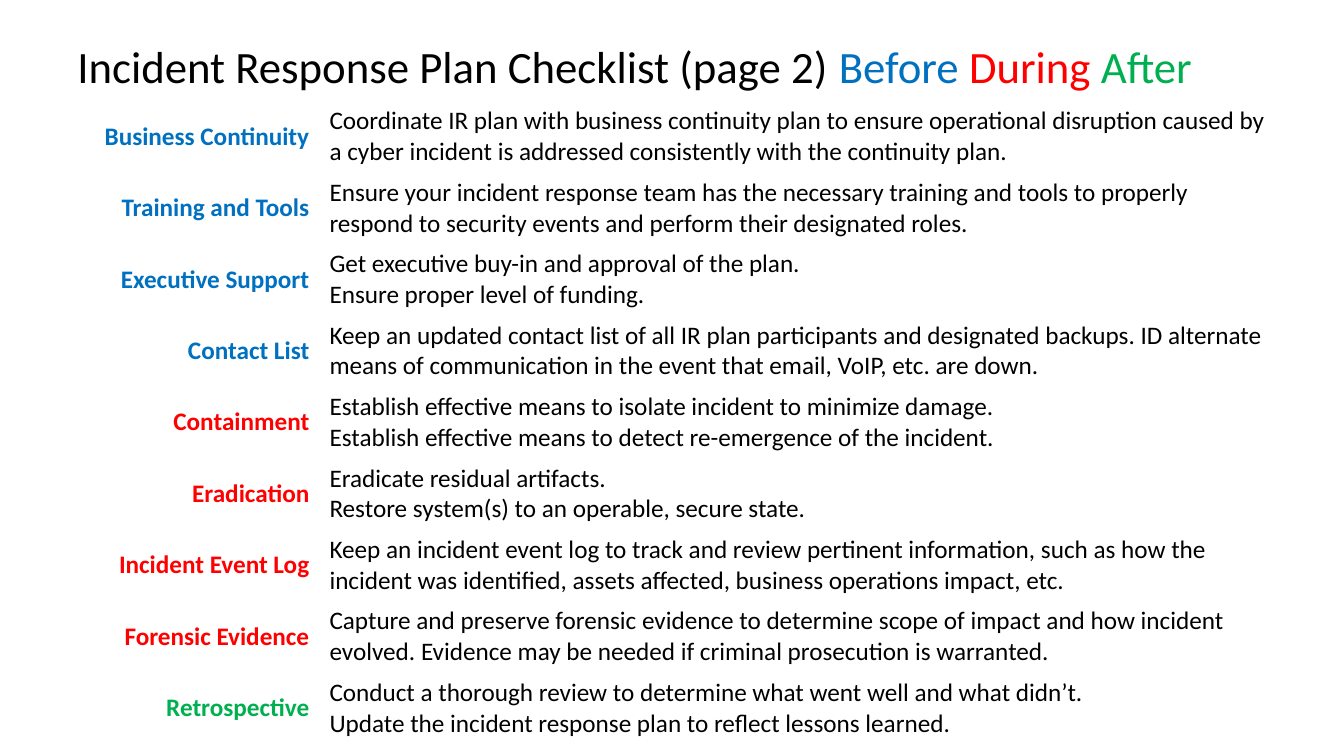
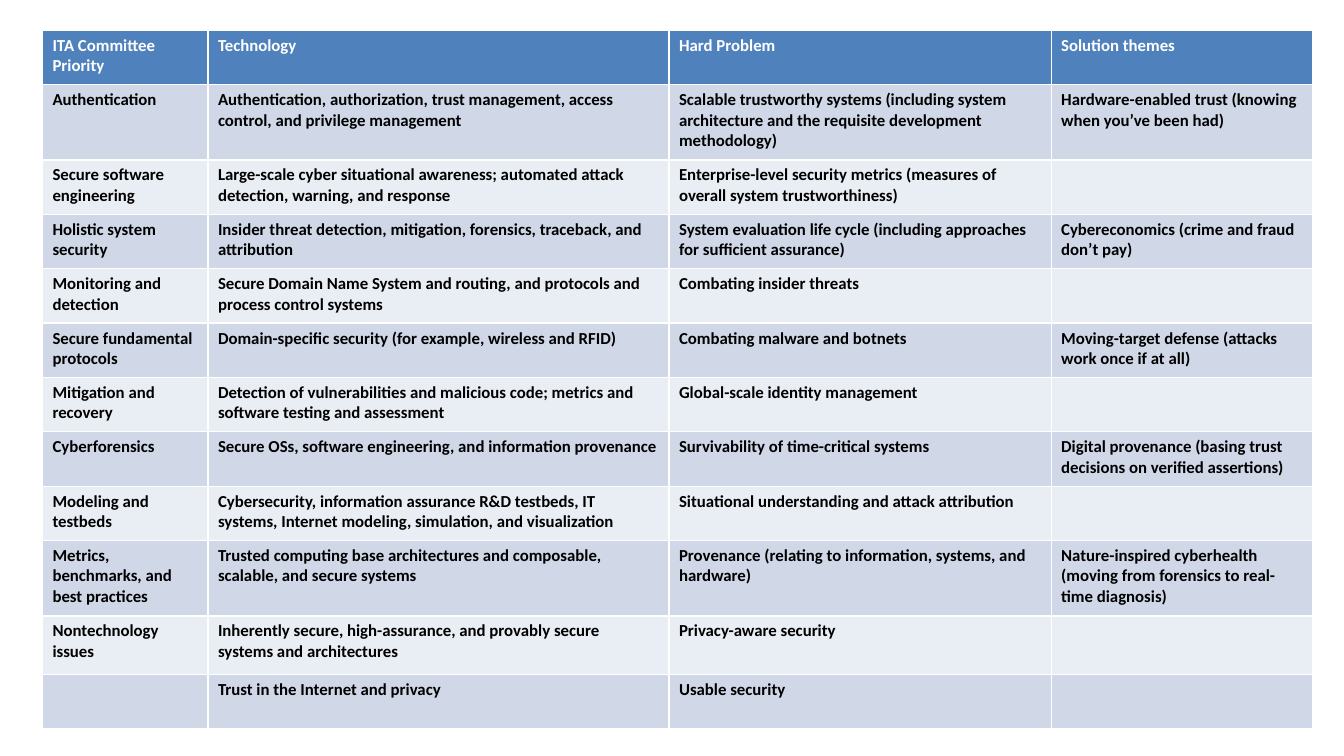
from pptx import Presentation
from pptx.dml.color import RGBColor
from pptx.enum import text
from pptx.util import Cm, Pt

FONT = "Calibri"
BLACK, WHITE = "000000", "FFFFFF"
BEFORE, DURING, AFTER = "0070C0", "FF0000", "00B050"
HEADER_FILL = "4F81BD"
BAND_FILLS = ("D0D8E8", "E9EDF4")

TITLE = [
    ("Incident Response Plan Checklist (page 2) ", BLACK),
    ("Before ", BEFORE),
    ("During ", DURING),
    ("After", AFTER),
]

CHECKLIST = [
    ("Business Continuity", BEFORE,
     "Coordinate IR plan with business continuity plan to ensure operational disruption caused by "
     "a cyber incident is addressed consistently with the continuity plan."),
    ("Training and Tools", BEFORE,
     "Ensure your incident response team has the necessary training and tools to properly "
     "respond to security events and perform their designated roles."),
    ("Executive Support", BEFORE,
     "Get executive buy-in and approval of the plan.\n"
     "Ensure proper level of funding."),
    ("Contact List", BEFORE,
     "Keep an updated contact list of all IR plan participants and designated backups. ID alternate "
     "means of communication in the event that email, VoIP, etc. are down."),
    ("Containment", DURING,
     "Establish effective means to isolate incident to minimize damage.\n"
     "Establish effective means to detect re-emergence of the incident."),
    ("Eradication", DURING,
     "Eradicate residual artifacts.\n"
     "Restore system(s) to an operable, secure state."),
    ("Incident Event Log", DURING,
     "Keep an incident event log to track and review pertinent information, such as how the "
     "incident was identified, assets affected, business operations impact, etc."),
    ("Forensic Evidence", DURING,
     "Capture and preserve forensic evidence to determine scope of impact and how incident "
     "evolved. Evidence may be needed if criminal prosecution is warranted."),
    ("Retrospective", AFTER,
     "Conduct a thorough review to determine what went well and what didn’t.\n"
     "Update the incident response plan to reflect lessons learned."),
]

PRIORITIES = [
    ("ITA Committee Priority", "Technology", "Hard Problem", "Solution themes"),
    ("Authentication",
     "Authentication, authorization, trust management, access control, and privilege management",
     "Scalable trustworthy systems (including system architecture and the requisite development methodology)",
     "Hardware-enabled trust (knowing when you’ve been had)"),
    ("Secure software engineering",
     "Large-scale cyber situational awareness; automated attack detection, warning, and response",
     "Enterprise-level security metrics (measures of overall system trustworthiness)", ""),
    ("Holistic system security",
     "Insider threat detection, mitigation, forensics, traceback, and attribution",
     "System evaluation life cycle (including approaches for sufficient assurance)",
     "Cybereconomics (crime and fraud don’t pay)"),
    ("Monitoring and detection",
     "Secure Domain Name System and routing, and protocols and process control systems",
     "Combating insider threats", ""),
    ("Secure fundamental protocols",
     "Domain-specific security (for example, wireless and RFID)",
     "Combating malware and botnets",
     "Moving-target defense (attacks work once if at all)"),
    ("Mitigation and recovery",
     "Detection of vulnerabilities and malicious code; metrics and software testing and assessment",
     "Global-scale identity management", ""),
    ("Cyberforensics",
     "Secure OSs, software engineering, and information provenance",
     "Survivability of time-critical systems",
     "Digital provenance (basing trust decisions on verified assertions)"),
    ("Modeling and testbeds",
     "Cybersecurity, information assurance R&D testbeds, IT systems, Internet modeling, "
     "simulation, and visualization",
     "Situational understanding and attack attribution", ""),
    ("Metrics, benchmarks, and best practices",
     "Trusted computing base architectures and composable, scalable, and secure systems",
     "Provenance (relating to information, systems, and hardware)",
     "Nature-inspired cyberhealth (moving from forensics to real-time diagnosis)"),
    ("Nontechnology issues",
     "Inherently secure, high-assurance, and provably secure systems and architectures",
     "Privacy-aware security", ""),
    ("", "Trust in the Internet and privacy", "Usable security", ""),
]


def color(value):
    return RGBColor.from_string(value)


def style_font(font, size, bold=False, ink=None):
    font.name, font.size, font.bold = FONT, Pt(size), bold
    if ink:
        font.color.rgb = color(ink)


def add_page(deck):
    return deck.slides.add_slide(deck.slide_layouts[6])


def add_title(page, spans):
    box = page.shapes.add_textbox(Cm(1.7), Cm(0.76), Cm(30.48), Cm(1.78))
    frame = box.text_frame
    frame.word_wrap = True
    frame.vertical_anchor = text.MSO_ANCHOR.MIDDLE
    para = frame.paragraphs[0]
    style_font(para.font, 32)
    for words, ink in spans:
        span = para.add_run()
        span.text = words
        span.font.color.rgb = color(ink)


def add_grid(page, left, top, widths, heights):
    frame = page.shapes.add_table(len(heights), len(widths), Cm(left), Cm(top),
                                  Cm(sum(widths)), Cm(sum(heights)))
    table = frame.table
    for column, width in zip(table.columns, widths):
        column.width = Cm(width)
    for row, height in zip(table.rows, heights):
        row.height = Cm(height)
    return table


def fill_cell(cell, words, size, ink, fill, bold=False, align=text.PP_ALIGN.LEFT,
              anchor=text.MSO_ANCHOR.TOP):
    cell.text = words
    cell.vertical_anchor = anchor
    cell.fill.solid()
    cell.fill.fore_color.rgb = color(fill)
    for para in cell.text_frame.paragraphs:
        para.alignment = align
        style_font(para.font, size, bold, ink)


def add_checklist(page):
    table = add_grid(page, 1.7, 2.54, [6.35, 24.13], [1.8] * len(CHECKLIST))
    table.first_row = table.horz_banding = False
    for row, (label, phase, advice) in enumerate(CHECKLIST):
        fill_cell(table.cell(row, 0), label, 18, phase, WHITE, True,
                  text.PP_ALIGN.RIGHT, text.MSO_ANCHOR.MIDDLE)
        fill_cell(table.cell(row, 1), advice, 18, BLACK, WHITE)


def add_priorities(page):
    heights = [1.37, 1.9] + [1.37] * 7 + [1.9, 1.48, 1.35]
    table = add_grid(page, 1.07, 0.76, [4.17, 11.62, 9.63, 6.58], heights)
    for row, entries in enumerate(PRIORITIES):
        ink, fill = (BLACK, BAND_FILLS[(row - 1) % 2]) if row else (WHITE, HEADER_FILL)
        for column, words in enumerate(entries):
            fill_cell(table.cell(row, column), words, 12, ink, fill, True)


def main():
    deck = Presentation()
    deck.slide_width, deck.slide_height = Cm(33.87), Cm(19.05)
    checklist_page = add_page(deck)
    add_title(checklist_page, TITLE)
    add_checklist(checklist_page)
    add_priorities(add_page(deck))
    deck.save("out.pptx")


if __name__ == "__main__":
    main()
